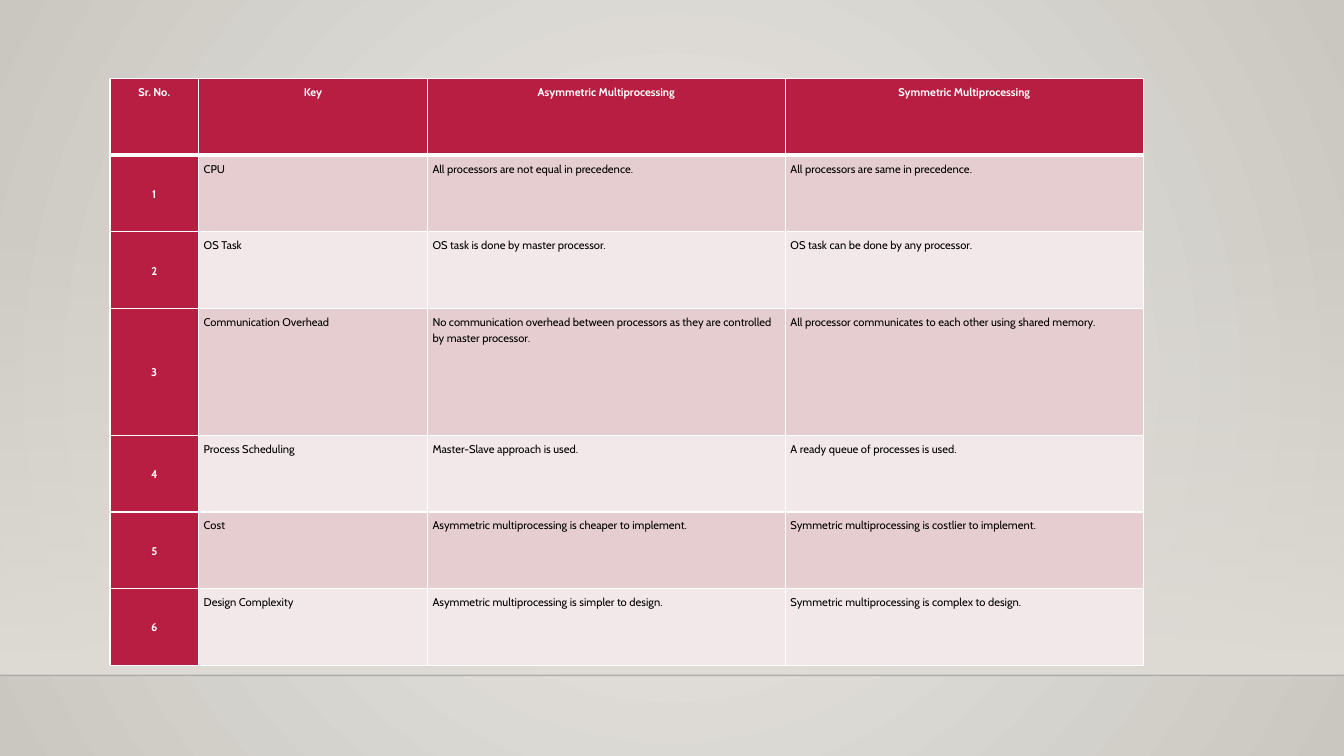
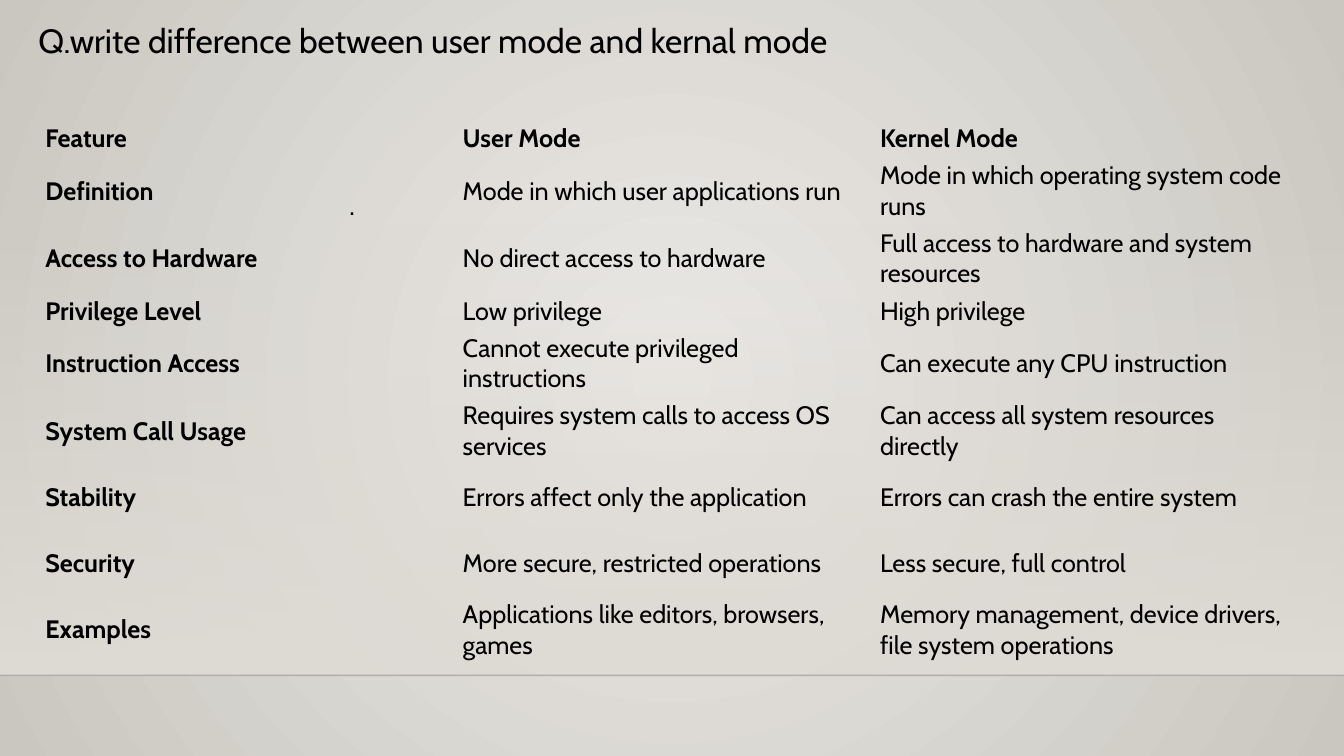
from dataclasses import dataclass
from typing import Optional

from lxml import etree
from pptx import Presentation
from pptx.dml.color import RGBColor
from pptx.enum.shapes import MSO_CONNECTOR, MSO_SHAPE
from pptx.enum.text import MSO_ANCHOR, MSO_AUTO_SIZE, PP_ALIGN
from pptx.oxml import parse_xml
from pptx.oxml.ns import nsdecls, qn
from pptx.util import Inches, Pt

RECTANGLE = MSO_SHAPE.RECTANGLE
STRAIGHT = MSO_CONNECTOR.STRAIGHT
TOP, MIDDLE = MSO_ANCHOR.TOP, MSO_ANCHOR.MIDDLE
LEFT, CENTER = PP_ALIGN.LEFT, PP_ALIGN.CENTER
NO_AUTO_SIZE = MSO_AUTO_SIZE.NONE

SLIDE_WIDTH, SLIDE_HEIGHT = 13.33, 7.5
FLOOR_TOP, WALL_TOP = 6.7, 2.21
FONT = "Cabin"
BLACK, WHITE, CRIMSON = "000000", "FFFFFF", "B71E42"
BANDS = ("E6CDCF", "F3E8E9")
BACKGROUND_COLORS = ("ECEAE7", "CAC7C1")
WALL_COLOR = "DFDBD5"
PLAIN_TABLE_STYLE = "{2D5ABB26-0587-4C30-8999-92F81FD0307C}"
TITLE_ONLY_LAYOUT, BLANK_LAYOUT = 5, 6

MULTIPROCESSING_ROWS = [
    ("Sr. No.", "Key", "Asymmetric Multiprocessing", "Symmetric Multiprocessing"),
    ("1", "CPU", "All processors are not equal in precedence.",
     "All processors are same in precedence."),
    ("2", "OS Task", "OS task is done by master processor.",
     "OS task can be done by any processor."),
    ("3", "Communication Overhead",
     "No communication overhead between processors as they are controlled by master processor.",
     "All processor communicates to each other using shared memory."),
    ("4", "Process Scheduling", "Master-Slave approach is used.",
     "A ready queue of processes is used."),
    ("5", "Cost", "Asymmetric multiprocessing is cheaper to implement.",
     "Symmetric multiprocessing is costlier to implement."),
    ("6", "Design Complexity", "Asymmetric multiprocessing is simpler to design.",
     "Symmetric multiprocessing is complex to design."),
]

MODE_ROWS = [
    ("Feature", "User Mode", "Kernel Mode"),
    ("Definition", "Mode in which user applications run",
     "Mode in which operating system code runs"),
    ("Access to Hardware", "No direct access to hardware",
     "Full access to hardware and system resources"),
    ("Privilege Level", "Low privilege", "High privilege"),
    ("Instruction Access", "Cannot execute privileged instructions",
     "Can execute any CPU instruction"),
    ("System Call Usage", "Requires system calls to access OS services",
     "Can access all system resources directly"),
    ("Stability", "Errors affect only the application",
     "Errors can crash the entire system"),
    ("Security", "More secure, restricted operations", "Less secure, full control"),
    ("Examples", "Applications like editors, browsers, games",
     "Memory management, device drivers, file system operations"),
]


@dataclass(frozen=True)
class CellStyle:
    size: float
    color: str = BLACK
    bold: bool = False
    align: PP_ALIGN = LEFT
    anchor: MSO_ANCHOR = MIDDLE
    fill: Optional[str] = None
    line_spacing: Optional[float] = None
    space_after: float = 0
    inset_x: float = 0.07
    inset_y: float = 0.03


def rgb(color: str) -> RGBColor:
    return RGBColor.from_string(color)


def write_text(frame, text: str, *, size: float, font: str = FONT, color: str = BLACK,
               bold: bool = False, align: PP_ALIGN = LEFT, anchor: MSO_ANCHOR = TOP,
               line_spacing: Optional[float] = None, space_after: float = 0,
               wrap: bool = True) -> None:
    frame.word_wrap = wrap
    frame.vertical_anchor = anchor
    paragraph = frame.paragraphs[0]
    paragraph.alignment = align
    paragraph.space_after = Pt(space_after)
    if line_spacing:
        paragraph.line_spacing = line_spacing
    run = paragraph.add_run()
    run.text = text
    run.font.name, run.font.size, run.font.bold = font, Pt(size), bold
    run.font.color.rgb = rgb(color)


def set_alpha(element, percent: int) -> None:
    color_element = next(element.iter(qn("a:srgbClr")))
    etree.SubElement(color_element, qn("a:alpha")).set("val", str(percent * 1000))


def set_gradient(fill, colors: tuple[str, str]) -> None:
    fill.gradient()
    for position, (stop, color) in enumerate(zip(fill.gradient_stops, colors)):
        stop.position = position
        stop.color.rgb = rgb(color)


def set_background(master) -> None:
    set_gradient(master.background.fill, BACKGROUND_COLORS)
    gradient = next(master.element.iter(qn("a:gradFill")))
    gradient.remove(gradient.find(qn("a:lin")))
    gradient.append(parse_xml(
        f'<a:path {nsdecls("a")} path="circle">'
        '<a:fillToRect l="50000" t="50000" r="50000" b="50000"/></a:path>'))


def add_wall_and_floor(slide) -> None:
    wall = slide.shapes.add_shape(
        RECTANGLE, 0, Inches(WALL_TOP), Inches(SLIDE_WIDTH), Inches(FLOOR_TOP - WALL_TOP))
    wall.shadow.inherit = False
    wall.line.fill.background()
    set_gradient(wall.fill, (WALL_COLOR, WALL_COLOR))
    wall.fill.gradient_angle = 270
    set_alpha(wall.element.spPr, 0)

    edge = slide.shapes.add_connector(
        STRAIGHT, 0, Inches(FLOOR_TOP), Inches(SLIDE_WIDTH), Inches(FLOOR_TOP))
    edge.line.width = Pt(1)
    edge.line.color.rgb = rgb(BLACK)
    properties = edge.element.spPr
    set_alpha(properties, 20)
    etree.SubElement(properties, qn("a:effectLst"))


def add_slide(presentation, layout_index: int):
    slide = presentation.slides.add_slide(presentation.slide_layouts[layout_index])
    add_wall_and_floor(slide)
    return slide


def set_borders(cell, color: str, widths: dict[str, float]) -> None:
    properties = cell._tc.get_or_add_tcPr()
    for side, width in widths.items():
        properties.append(parse_xml(
            f'<a:ln{side} {nsdecls("a")} w="{Pt(width)}"><a:solidFill>'
            f'<a:srgbClr val="{color}"/></a:solidFill></a:ln{side}>'))


def style_cell(cell, text: str, style: CellStyle) -> None:
    cell.margin_left = cell.margin_right = Inches(style.inset_x)
    cell.margin_top = cell.margin_bottom = Inches(style.inset_y)
    write_text(cell.text_frame, text, size=style.size, color=style.color, bold=style.bold,
               align=style.align, line_spacing=style.line_spacing,
               space_after=style.space_after)
    cell.vertical_anchor = style.anchor
    if style.fill:
        cell.fill.solid()
        cell.fill.fore_color.rgb = rgb(style.fill)
    else:
        cell.fill.background()


def add_plain_table(slide, left: float, top: float, widths: list[float], heights: list[float]):
    frame = slide.shapes.add_table(
        len(heights), len(widths), Inches(left), Inches(top),
        Inches(sum(widths)), Inches(sum(heights)))
    next(frame.element.iter(qn("a:tableStyleId"))).text = PLAIN_TABLE_STYLE
    table = frame.table
    table.first_row = table.horz_banding = False
    for column, width in zip(table.columns, widths):
        column.width = Inches(width)
    for row, height in zip(table.rows, heights):
        row.height = Inches(height)
    return table


def multiprocessing_style(row: int, column: int) -> CellStyle:
    heading = row == 0 or column == 0
    return CellStyle(
        size=8, color=WHITE if heading else BLACK, bold=heading,
        align=CENTER if heading else LEFT,
        anchor=MIDDLE if column == 0 and row > 0 else TOP,
        fill=CRIMSON if heading else BANDS[(row - 1) % 2],
        line_spacing=1.15, space_after=10, inset_x=0.05, inset_y=0.05)


def build_multiprocessing_slide(presentation) -> None:
    slide = add_slide(presentation, BLANK_LAYOUT)
    heights = [1.26 if row[0] == "3" else 0.76 for row in MULTIPROCESSING_ROWS]
    table = add_plain_table(slide, 1.09, 0.78, [0.88, 2.27, 3.55, 3.55], heights)
    for row, texts in enumerate(MULTIPROCESSING_ROWS):
        borders = {"L": 1, "R": 1, "T": 3 if row == 1 else 1, "B": 3 if row == 0 else 1}
        for column, text in enumerate(texts):
            cell = table.cell(row, column)
            set_borders(cell, WHITE, borders)
            style_cell(cell, text, multiprocessing_style(row, column))


def build_mode_slide(presentation) -> None:
    slide = add_slide(presentation, TITLE_ONLY_LAYOUT)
    title = slide.shapes.title
    title.left, title.top = Inches(0.28), Inches(0.15)
    title.width, title.height = Inches(8.78), Inches(0.5)
    title.text_frame.auto_size = NO_AUTO_SIZE
    write_text(title.text_frame, "Q.write difference between user mode and kernal mode", size=24)

    heights = [0.37 if row[0] in ("Feature", "Privilege Level") else 0.65 for row in MODE_ROWS]
    table = add_plain_table(slide, 0.38, 1.19, [4.14] * 3, heights)
    for row, texts in enumerate(MODE_ROWS):
        for column, text in enumerate(texts):
            style = CellStyle(size=18, bold=row == 0 or column == 0)
            style_cell(table.cell(row, column), text, style)

    dot = slide.shapes.add_textbox(Inches(3.36), Inches(1.84), Inches(0.27), Inches(0.4))
    write_text(dot.text_frame, ".", size=18, font="Arial", wrap=False)


def main() -> None:
    presentation = Presentation()
    presentation.slide_width = Inches(SLIDE_WIDTH)
    presentation.slide_height = Inches(SLIDE_HEIGHT)
    set_background(presentation.slide_master)
    build_multiprocessing_slide(presentation)
    build_mode_slide(presentation)
    presentation.save("out.pptx")


if __name__ == "__main__":
    main()
